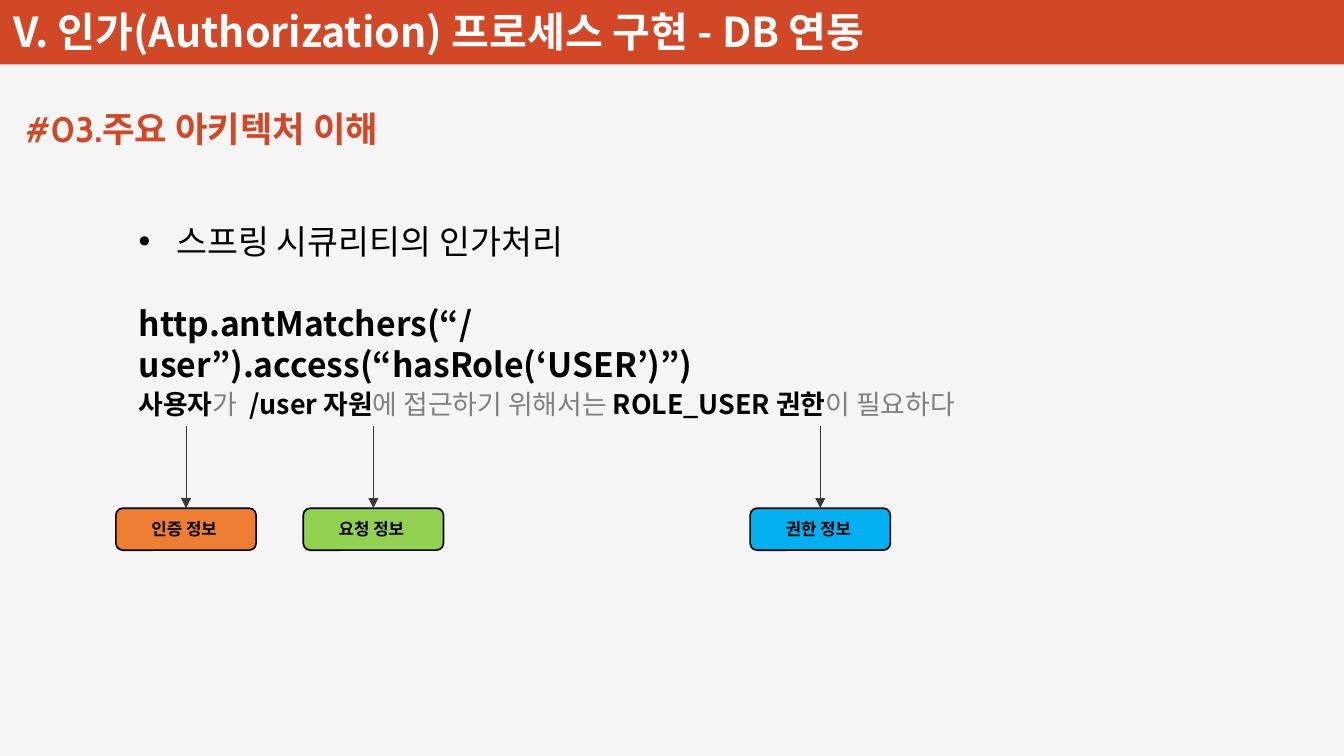
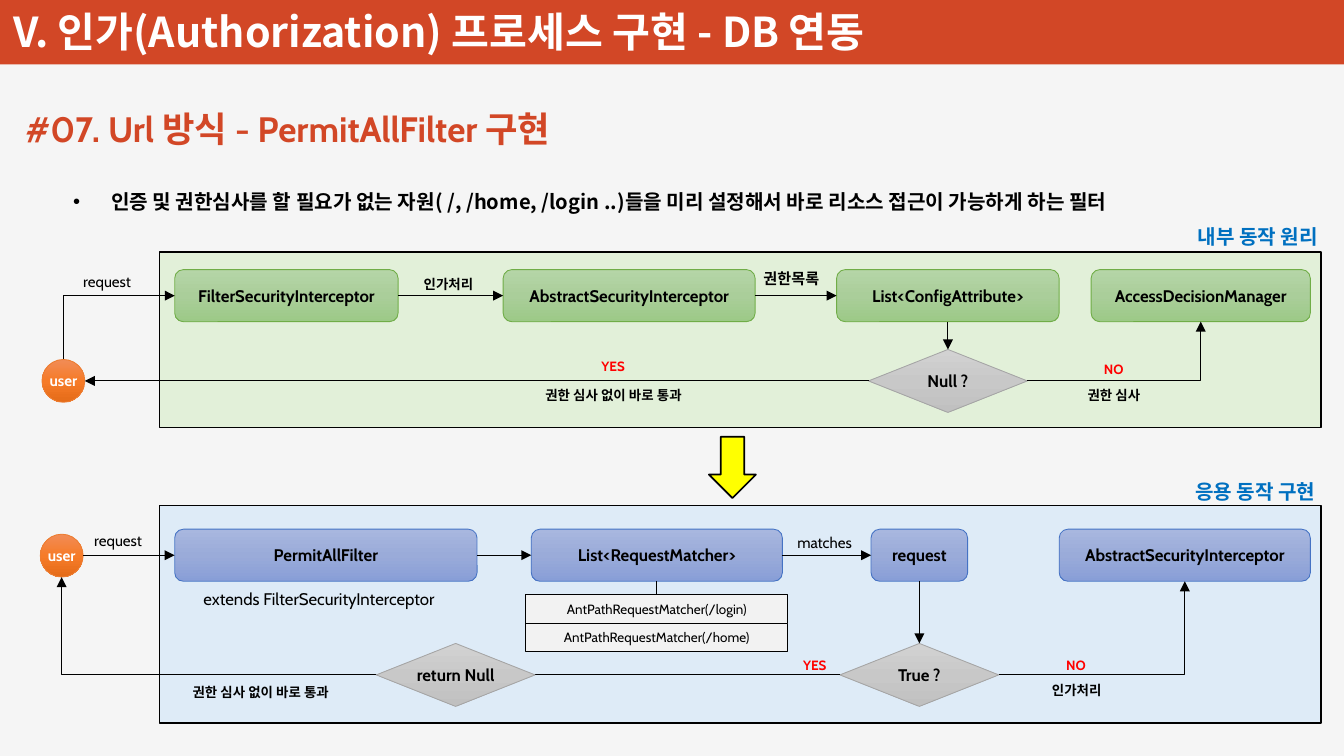
import copy
from dataclasses import dataclass
from typing import Any, NamedTuple, Optional, Union

import pptx
import pptx.dml.color
import pptx.enum.shapes
import pptx.enum.text
import pptx.oxml.ns
import pptx.util

Pt = pptx.util.Pt
Kind = pptx.enum.shapes.MSO_SHAPE
Line = pptx.enum.shapes.MSO_CONNECTOR
Align = pptx.enum.text.PP_ALIGN
Anchor = pptx.enum.text.MSO_ANCHOR
Fit = pptx.enum.text.MSO_AUTO_SIZE
qn = pptx.oxml.ns.qn


# Theme: colours, fonts and sizes
@dataclass(frozen=True)
class Theme:
    page: str = "F5F5F5"
    brand: str = "D24726"
    ink: str = "000000"
    white: str = "FFFFFF"
    gray: str = "808080"
    stem: str = "3B3838"
    red: str = "FF0000"
    blue: str = "0070C0"
    yellow: str = "FFFF00"
    cell: str = "F2F2F2"
    mint: str = "E2F0D9"
    sky: str = "DEEBF7"
    tags: tuple = ("ED7D31", "92D050", "00B0F0")
    latin: str = "Cabin"
    hangul: str = "Noto Sans CJK KR"
    title: float = 24.5
    head: float = 21
    lead: float = 20
    body: float = 16
    name: float = 12
    base: float = 10
    note: float = 9
    tiny: float = 8


T = Theme()


class Box(NamedTuple):
    x: float
    y: float
    w: float
    h: float


class Run(NamedTuple):
    text: str
    color: str
    bold: bool


class Look(NamedTuple):
    fill: Union[str, tuple]
    edge: str = T.ink
    width: float = 1


class Port(NamedTuple):
    shape: Any
    site: int  # 0 top, 1 left, 2 bottom, 3 right


class Label(NamedTuple):
    box: Box
    text: str
    size: float
    color: str = T.ink
    bold: bool = True
    align: Any = Align.CENTER


class Node(NamedTuple):
    x: float
    w: float
    text: str


GREEN = Look(("B5D5A7", "AACE9A", "9CC987"), "70AD47", 0.5)
BLUE = Look(("A8B7DF", "9AABD9", "889ED7"), "4472C4", 0.5)
GRAY = Look(("D2D2D2", "C8C8C8", "C0C0C0"), "A5A5A5", 0.5)
USER = Look(("F18C57", "F67B28", "E56C19"), "ED7D31", 0.5)


def rgb(code: str) -> Any:
    return pptx.dml.color.RGBColor.from_string(code)


# Text
def write(shape: Any, text: Union[str, list], *, size: float = T.base,
          color: str = T.ink, bold: bool = True, font: str = T.latin,
          align: Any = Align.CENTER, anchor: Any = Anchor.MIDDLE,
          wrap: bool = True, bullet: bool = False, space: Optional[float] = None,
          inset: Optional[float] = None) -> None:
    frame = shape.text_frame
    frame.word_wrap = wrap
    frame.vertical_anchor = anchor
    if inset is not None:
        frame.margin_left = frame.margin_right = Pt(inset)
        frame.margin_top = frame.margin_bottom = Pt(inset)
    para = frame.paragraphs[0]
    para.alignment = align
    if bullet:
        props = para._p.get_or_add_pPr()
        props.set("marL", str(Pt(22.5)))
        props.set("indent", str(-Pt(22.5)))
        face = props.makeelement(qn("a:buFont"), {"typeface": "Arial"})
        mark = props.makeelement(qn("a:buChar"), {"char": "•"})
        props.extend([face, mark])
    if space:
        para.line_spacing = space
    for part in [Run(text, color, bold)] if isinstance(text, str) else text:
        run = para.add_run()
        run.text = part.text
        run.font.size = Pt(size)
        run.font.bold = part.bold
        run.font.color.rgb = rgb(part.color)
        run.font.name = font
        props = run._r.get_or_add_rPr()
        props.append(props.makeelement(qn("a:ea"), {"typeface": T.hangul}))


def note(slide: Any, box: Box, text: Union[str, list], *, wrap: bool = False,
         align: Any = Align.LEFT, anchor: Any = Anchor.TOP, grow: bool = True,
         **style: Any) -> None:
    shape = slide.shapes.add_textbox(*map(Pt, box))
    write(shape, text, wrap=wrap, align=align, anchor=anchor, **style)
    if grow:
        shape.text_frame.auto_size = Fit.SHAPE_TO_FIT_TEXT


# Shapes
def draw(slide: Any, kind: Any, box: Box, look: Look, text: str = "",
         **style: Any) -> Any:
    shape = slide.shapes.add_shape(kind, *map(Pt, box))
    shape.shadow.inherit = False
    if isinstance(look.fill, str):
        shape.fill.solid()
        shape.fill.fore_color.rgb = rgb(look.fill)
    else:
        shape.fill.gradient()
        shape.fill.gradient_angle = 270
        stops = shape._element.spPr.find(".//" + qn("a:gsLst"))
        stops.insert(1, copy.deepcopy(stops[0]))
        for i, stop in enumerate(shape.fill.gradient_stops):
            stop.position = i / 2
            stop.color.rgb = rgb(look.fill[i])
    if look.width:
        shape.line.color.rgb = rgb(look.edge)
        shape.line.width = Pt(look.width)
    else:
        shape.line.fill.background()
    if text:
        write(shape, text, **style)
    return shape


def choice(slide: Any, x: float, y: float, text: str) -> Any:
    return draw(slide, Kind.DIAMOND, Box(x, y, 94.5, 37.5), GRAY, text,
                wrap=False, inset=0)


def person(slide: Any, x: float, y: float) -> None:
    draw(slide, Kind.OVAL, Box(x, y, 25.5, 25.5), USER, "user", size=T.note,
         color=T.white, wrap=False, inset=0)


def row(slide: Any, y: float, look: Look, nodes: list) -> list:
    return [draw(slide, Kind.ROUNDED_RECTANGLE, Box(n.x, y, n.w, 31), look, n.text)
            for n in nodes]


# Connectors
def spot(end: Union[Port, tuple]) -> tuple:
    if not isinstance(end, Port):
        return end
    s, (dx, dy) = end.shape, ((0.5, 0), (0, 0.5), (0.5, 1), (1, 0.5))[end.site]
    return s.left.pt + s.width.pt * dx, s.top.pt + s.height.pt * dy


def link(slide: Any, start: Any, stop: Any, *, bend: str = "", tip: bool = True,
         color: str = T.ink) -> None:
    (x1, y1), (x2, y2) = spot(start), spot(stop)
    kind = Line.ELBOW if bend else Line.STRAIGHT
    wire = slide.shapes.add_connector(kind, *map(Pt, (x1, y1, x2, y2)))
    props = wire._element.spPr
    if bend:
        props.find(qn("a:prstGeom")).set("prst", "bentConnector2")
    else:
        if isinstance(start, Port):
            wire.begin_connect(*start)
        if isinstance(stop, Port):
            wire.end_connect(*stop)
    if bend == "up":  # vertical leg first: a quarter turn about the centre
        w, h = abs(x2 - x1), abs(y2 - y1)
        wire.left, wire.top = Pt((x1 + x2 - h) / 2), Pt((y1 + y2 - w) / 2)
        wire.width, wire.height = Pt(h), Pt(w)
        turn = props.find(qn("a:xfrm"))
        for key, value in (("rot", "5400000"), ("flipH", "1"), ("flipV", "1")):
            turn.set(key, value)
    wire.line.color.rgb = rgb(color)
    wire.line.width = Pt(0.5)
    if tip:
        edge = props.find(qn("a:ln"))
        edge.append(edge.makeelement(qn("a:tailEnd"), {"type": "triangle"}))
    props.append(props.makeelement(qn("a:effectLst"), {}))


# Shared page: band, title and heading
def page(deck: Any, head: str, width: float) -> Any:
    slide = deck.slides.add_slide(deck.slide_layouts[6])
    draw(slide, Kind.RECTANGLE, Box(0, 0, 800, 38.4), Look(T.brand, width=0))
    note(slide, Box(0.7, -7.2, 576, 44), "V. 인가(Authorization) 프로세스 구현 - DB 연동",
         size=T.title, color=T.white, font=T.hangul, wrap=True,
         anchor=Anchor.BOTTOM, grow=False)
    note(slide, Box(8, 60, width, 32.5), head, size=T.head, color=T.brand)
    return slide


# Slide 1: how a rule is read
def rule(deck: Any) -> None:
    slide = page(deck, "#03.주요 아키텍처 이해", 239)
    left = 75.5
    note(slide, Box(left, 177, 513.5, 31.5),
         "http.antMatchers(“/user”).access(“hasRole(‘USER’)”)",
         size=T.lead, font=T.hangul)
    words = (("사용자", "가  "), ("/user 자원", "에 접근하기 위해서는 "),
             ("ROLE_USER 권한", "이 필요하다"))
    runs = [run for key, rest in words
            for run in (Run(key, T.ink, True), Run(rest, T.gray, False))]
    note(slide, Box(left, 227, 542, 26.5), runs, size=T.body, font=T.hangul)
    note(slide, Box(left, 128, 294, 31.5), "스프링 시큐리티의 인가처리",
         size=T.lead, font=T.hangul, bold=False, bullet=True)
    tags = zip((69, 180.5, 446.5), T.tags, ("인증 정보 ", "요청 정보 ", "권한 정보 "))
    for x, fill, text in tags:
        tag = draw(slide, Kind.ROUNDED_RECTANGLE, Box(x, 302.5, 83.5, 25),
                   Look(fill), text)
        link(slide, (x + 41.75, 253.5), Port(tag, 0), color=T.stem)


# Slide 2: the two request flows
def flow(deck: Any) -> None:
    slide = page(deck, "#07. Url 방식 - PermitAllFilter 구현", 354)
    for y, h, fill in ((301, 129.5, T.sky), (150, 104.5, T.mint)):
        draw(slide, Kind.RECTANGLE, Box(95, y, 691.5, h), Look(fill))

    # Upper flow
    entry, core, found, judge = row(slide, 160.5, GREEN, [
        Node(104, 133, "FilterSecurityInterceptor"),
        Node(299.5, 150, "AbstractSecurityInterceptor"),
        Node(498, 132.5, "List<ConfigAttribute>"),
        Node(649.5, 130.5, "AccessDecisionManager")])
    person(slide, 25, 214)
    null = choice(slide, 517, 208, "Null ?")
    link(slide, (37.75, 214), Port(entry, 1), bend="up")
    link(slide, Port(entry, 3), Port(core, 1))
    link(slide, Port(core, 3), Port(found, 1))
    link(slide, Port(found, 2), Port(null, 0))
    link(slide, Port(null, 1), (50.5, 226.75))
    link(slide, Port(null, 3), Port(judge, 2), bend="side")

    # Lower flow
    permit, match, ask, core = row(slide, 315, BLUE, [
        Node(104, 180, "PermitAllFilter"),
        Node(316.25, 149.5, "List<RequestMatcher>"),
        Node(518.5, 57.5, "request"),
        Node(630.5, 149.5, "AbstractSecurityInterceptor")])
    person(slide, 24, 318)
    true = choice(slide, 500, 383, "True ?")
    cells = [draw(slide, Kind.RECTANGLE, Box(313, 354 + 17 * i, 156, 17),
                  Look(T.cell, width=0.75), f"AntPathRequestMatcher(/{end})",
                  size=T.tiny, bold=False, anchor=Anchor.TOP)
             for i, end in enumerate(("login", "home"))]
    link(slide, (49.5, 330.5), Port(permit, 1))
    link(slide, Port(permit, 3), Port(match, 1))
    link(slide, Port(match, 3), Port(ask, 1))
    link(slide, Port(match, 2), Port(cells[0], 0), tip=False)
    link(slide, Port(ask, 2), Port(true, 0))
    link(slide, Port(true, 1), (36.75, 343.5), bend="side")
    link(slide, Port(true, 3), Port(core, 2), bend="side")
    choice(slide, 224, 383, "return Null")
    draw(slide, Kind.DOWN_ARROW, Box(422, 260, 28, 36.5), Look(T.yellow))

    # Labels
    skip, left = "권한 심사 없이 바로 통과", Align.LEFT
    for tag in (
            Label(Box(42.5, 158.5, 44.5, 18), "request", T.note, bold=False, align=left),
            Label(Box(49, 312.5, 44.5, 18), "request", T.note, bold=False, align=left),
            Label(Box(467.5, 314, 48, 18), "matches", T.note, bold=False, align=left),
            Label(Box(114, 347, 161, 19.5), "extends FilterSecurityInterceptor",
                  T.base, bold=False, align=left),
            Label(Box(243.5, 161, 47, 17), "인가처리", T.tiny),
            Label(Box(445.5, 157, 51, 18), "권한목록", T.note),
            Label(Box(349, 209.5, 32, 17), "YES", T.tiny, T.red),
            Label(Box(469, 387.5, 32, 17), "YES", T.tiny, T.red),
            Label(Box(648, 211.5, 30, 17), "NO", T.tiny, T.red),
            Label(Box(625.5, 387.5, 30, 17), "NO", T.tiny, T.red),
            Label(Box(313, 227, 104.5, 17), skip, T.tiny),
            Label(Box(103, 403.5, 104.5, 17), skip, T.tiny),
            Label(Box(638.5, 227, 49, 17), "권한 심사", T.tiny),
            Label(Box(617.5, 402.5, 47, 17), "인가처리", T.tiny),
            Label(Box(702, 130, 93.5, 22), "내부 동작 원리", T.name, T.blue),
            Label(Box(700.5, 282, 93.5, 22), "응용 동작 구현", T.name, T.blue)):
        note(slide, tag.box, tag.text, size=tag.size, color=tag.color,
             bold=tag.bold, align=tag.align)
    note(slide, Box(36.5, 102, 695, 29),
         "인증 및 권한심사를 할 필요가 없는 자원( /, /home, /login ..)들을 "
         "미리 설정해서 바로 리소스 접근이 가능하게 하는 필터",
         size=T.name, font=T.hangul, wrap=True, bullet=True, space=1.5)


def main() -> None:
    deck = pptx.Presentation()
    deck.slide_width, deck.slide_height = Pt(800), Pt(450)
    back = deck.slide_master.background.fill
    back.solid()
    back.fore_color.rgb = rgb(T.page)
    rule(deck)
    flow(deck)
    deck.save("out.pptx")


if __name__ == "__main__":
    main()
